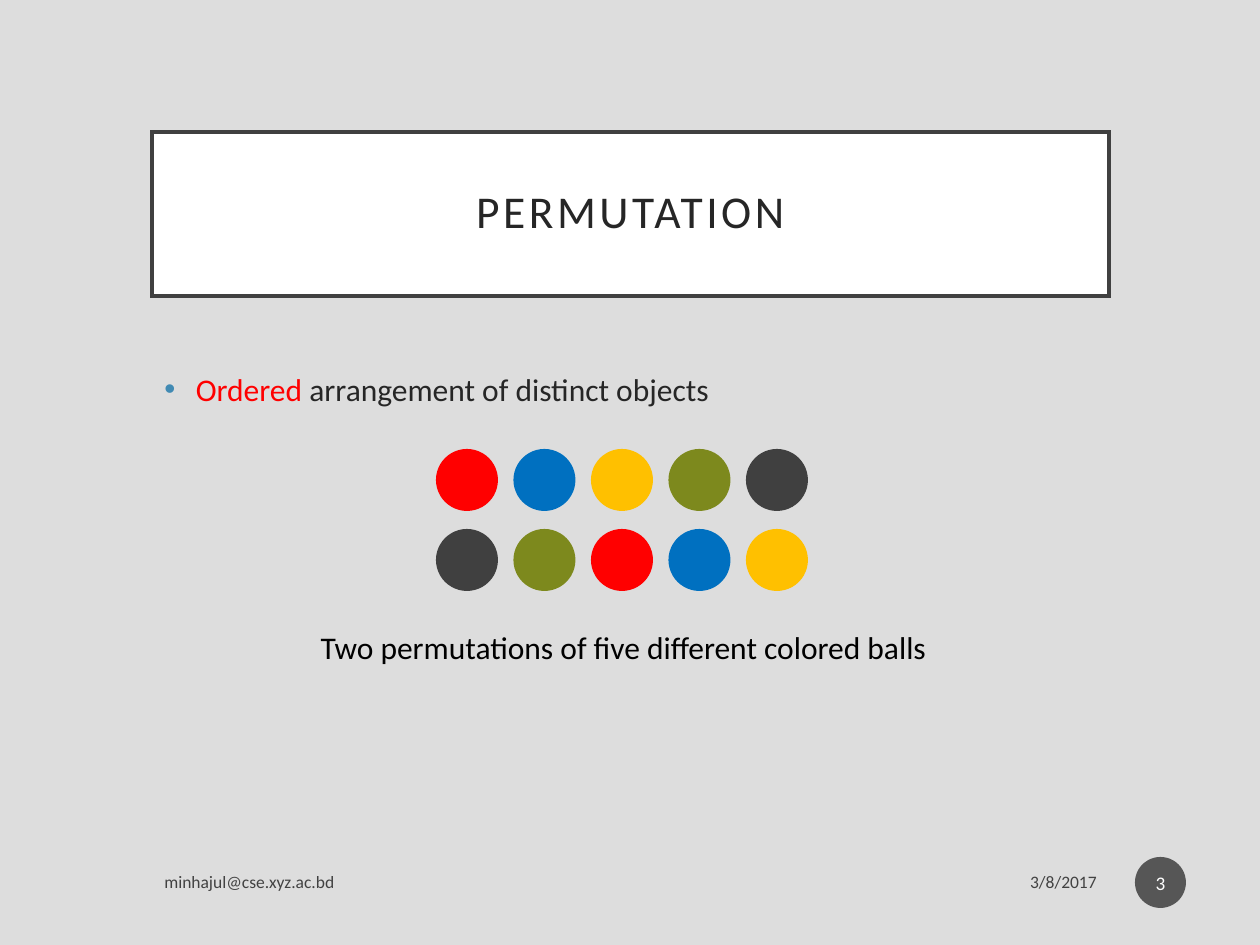
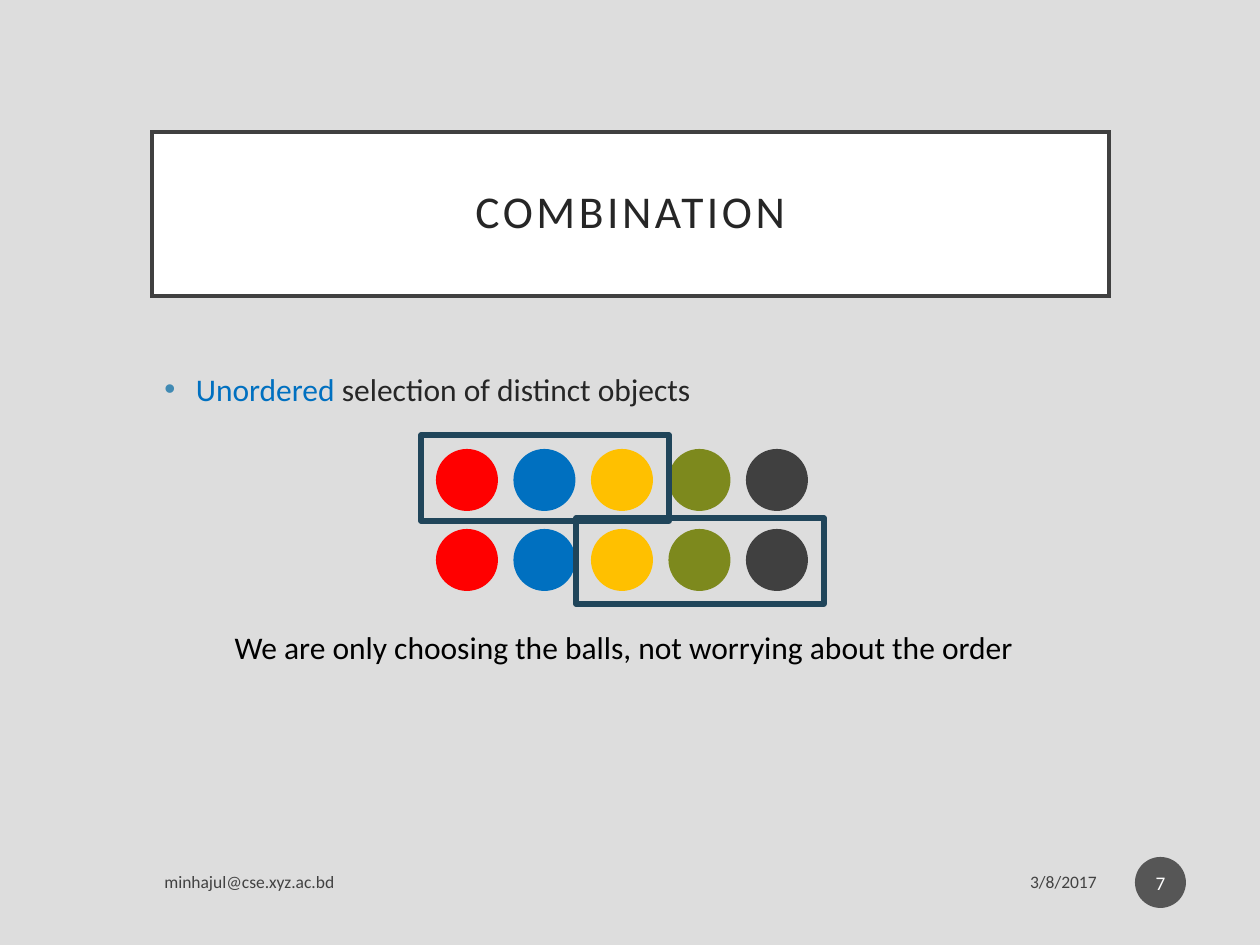
from lxml import etree
from pptx import Presentation
from pptx.dml.color import RGBColor
from pptx.enum.shapes import MSO_SHAPE
from pptx.enum.text import MSO_ANCHOR, MSO_AUTO_SIZE, PP_ALIGN
from pptx.oxml.ns import qn
from pptx.util import Emu, Pt

LEFT, CENTER, RIGHT = PP_ALIGN.LEFT, PP_ALIGN.CENTER, PP_ALIGN.RIGHT
TOP, MIDDLE = MSO_ANCHOR.TOP, MSO_ANCHOR.MIDDLE
OVAL, RECTANGLE = MSO_SHAPE.OVAL, MSO_SHAPE.RECTANGLE

COLORS = {
    "background": "DDDDDD", "white": "FFFFFF", "black": "000000",
    "text": "262626", "bullet": "418AB3", "badge": "1D1D1D",
    "red": "FF0000", "blue": "0070C0", "yellow": "FFC000",
    "green": "7D891D", "gray": "404040", "frame": "20455A",
}
FONT = "Calibri"
EMAIL = "minhajul@cse.xyz.ac.bd"
DATE = "3/8/2017"

SPECTRUM = ("red", "blue", "yellow", "green", "gray")
SLIDES = [
    {
        "title": "PERMUTATION", "number": "3",
        "keyword": ("Ordered", "red"),
        "definition": " arrangement of distinct objects",
        "balls": [SPECTRUM, ("gray", "green", "red", "blue", "yellow")],
        "frames": [],
        "caption": "Two permutations of five different colored balls",
        "caption_box": (306, 622, 635, 50),
    },
    {
        "title": "COMBINATION", "number": "7",
        "keyword": ("Unordered", "blue"),
        "definition": " selection of distinct objects",
        "balls": [SPECTRUM, SPECTRUM],
        "frames": [(421, 435), (576, 518)],
        "caption": "We are only choosing the balls, not worrying about the order",
        "caption_box": (215, 622, 818, 50),
    },
]

SCALE = 914400 // 126
WIDTH, HEIGHT = 1260, 945
TITLE_BOX = (152, 132, 957, 164)
BODY_BOX = (152, 364, 957, 427)
EMAIL_BOX = (152, 860, 628, 44)
DATE_BOX = (824, 860, 285, 44)
BADGE_BOX = (1135, 857, 51, 51)
BALL_SIZE, BALL_LEFT, BALL_TOP, BALL_SPAN, ROW_STEP = 62, 436, 449, 310, 80
FRAME_SIZE = (248, 86)


def px(value):
    return Emu(round(value * SCALE))


def box(values):
    return [px(value) for value in values]


def paint(fill, color, alpha=None):
    fill.solid()
    fill.fore_color.rgb = RGBColor.from_string(COLORS[color])
    if alpha:
        color_element = fill._xPr.find(qn("a:solidFill"))[0]
        etree.SubElement(color_element, qn("a:alpha"), val=str(alpha * 1000))


def style(font, size, color, alpha=None):
    font.name = FONT
    font.size = Pt(size)
    paint(font.fill, color, alpha)


def set_margins(frame, horizontal, vertical):
    frame.margin_left = frame.margin_right = px(horizontal)
    frame.margin_top = frame.margin_bottom = px(vertical)


def add_shape(slide, kind, place, fill=None, alpha=None, line=None):
    shape = slide.shapes.add_shape(kind, *box(place))
    shape.shadow.inherit = False
    if fill:
        paint(shape.fill, fill, alpha)
    else:
        shape.fill.background()
    if line:
        paint(shape.line.fill, line)
        shape.line.width = Pt(3)
    else:
        shape.line.fill.background()
    return shape


def add_text(slide, place, text, size, color, align=LEFT, anchor=TOP, alpha=None):
    frame = slide.shapes.add_textbox(*box(place)).text_frame
    frame.word_wrap = True
    frame.vertical_anchor = anchor
    paragraph = frame.paragraphs[0]
    paragraph.text = text
    paragraph.alignment = align
    style(paragraph.font, size, color, alpha)
    return frame


def format_title(slide, text):
    title = slide.shapes.title
    title.left, title.top, title.width, title.height = box(TITLE_BOX)
    paint(title.fill, "white")
    paint(title.line.fill, "gray")
    title.line.width = Pt(2.5)
    etree.SubElement(title.line._ln, qn("a:miter"), lim="800000")
    frame = title.text_frame
    frame.word_wrap = True
    frame.auto_size = MSO_AUTO_SIZE.NONE
    frame.vertical_anchor = MIDDLE
    set_margins(frame, 25, 25)
    paragraph = frame.paragraphs[0]
    paragraph.text = text
    paragraph.alignment = CENTER
    paragraph.line_spacing = 0.9
    style(paragraph.font, 26, "text")
    paragraph.font._rPr.set("spc", "200")


def add_definition(slide, keyword, definition):
    frame = slide.shapes.add_textbox(*box(BODY_BOX)).text_frame
    frame.word_wrap = True
    paragraph = frame.paragraphs[0]
    paragraph.space_before = Pt(10)
    properties = paragraph._p.get_or_add_pPr()
    indent = px(31.5)
    properties.set("marL", str(indent))
    properties.set("indent", str(-indent))
    bullet_color = etree.SubElement(properties, qn("a:buClr"))
    etree.SubElement(bullet_color, qn("a:srgbClr"), val=COLORS["bullet"])
    etree.SubElement(properties, qn("a:buFont"), typeface="Arial")
    etree.SubElement(properties, qn("a:buChar"), char="•")
    for text, color in (keyword, (definition, "text")):
        run = paragraph.add_run()
        run.text = text
        style(run.font, 18, color)


def add_footer(slide, number):
    add_text(slide, DATE_BOX, DATE, 10, "black", RIGHT, MIDDLE, 70)
    add_text(slide, EMAIL_BOX, EMAIL, 10, "black", LEFT, MIDDLE, 70)
    badge = add_shape(slide, OVAL, BADGE_BOX, "badge", 70)
    frame = badge.text_frame
    frame.vertical_anchor = MIDDLE
    set_margins(frame, 2, 6)
    paragraph = frame.paragraphs[0]
    paragraph.text = number
    paragraph.alignment = CENTER
    style(paragraph.font, 11, "white")


def add_balls(slide, rows):
    for row, colors in enumerate(rows):
        for column, color in enumerate(colors):
            left = BALL_LEFT + column * BALL_SPAN / (len(colors) - 1)
            top = BALL_TOP + row * ROW_STEP
            add_shape(slide, OVAL, (left, top, BALL_SIZE, BALL_SIZE), color)


presentation = Presentation()
presentation.slide_width, presentation.slide_height = px(WIDTH), px(HEIGHT)
paint(presentation.slide_master.background.fill, "background")
title_only = presentation.slide_layouts[5]

for content in SLIDES:
    slide = presentation.slides.add_slide(title_only)
    format_title(slide, content["title"])
    add_definition(slide, content["keyword"], content["definition"])
    add_footer(slide, content["number"])
    add_balls(slide, content["balls"])
    for corner in content["frames"]:
        add_shape(slide, RECTANGLE, corner + FRAME_SIZE, line="frame")
    caption = add_text(slide, content["caption_box"], content["caption"], 18, "black", CENTER)
    caption.word_wrap = False
    caption.auto_size = MSO_AUTO_SIZE.SHAPE_TO_FIT_TEXT

presentation.save("out.pptx")
